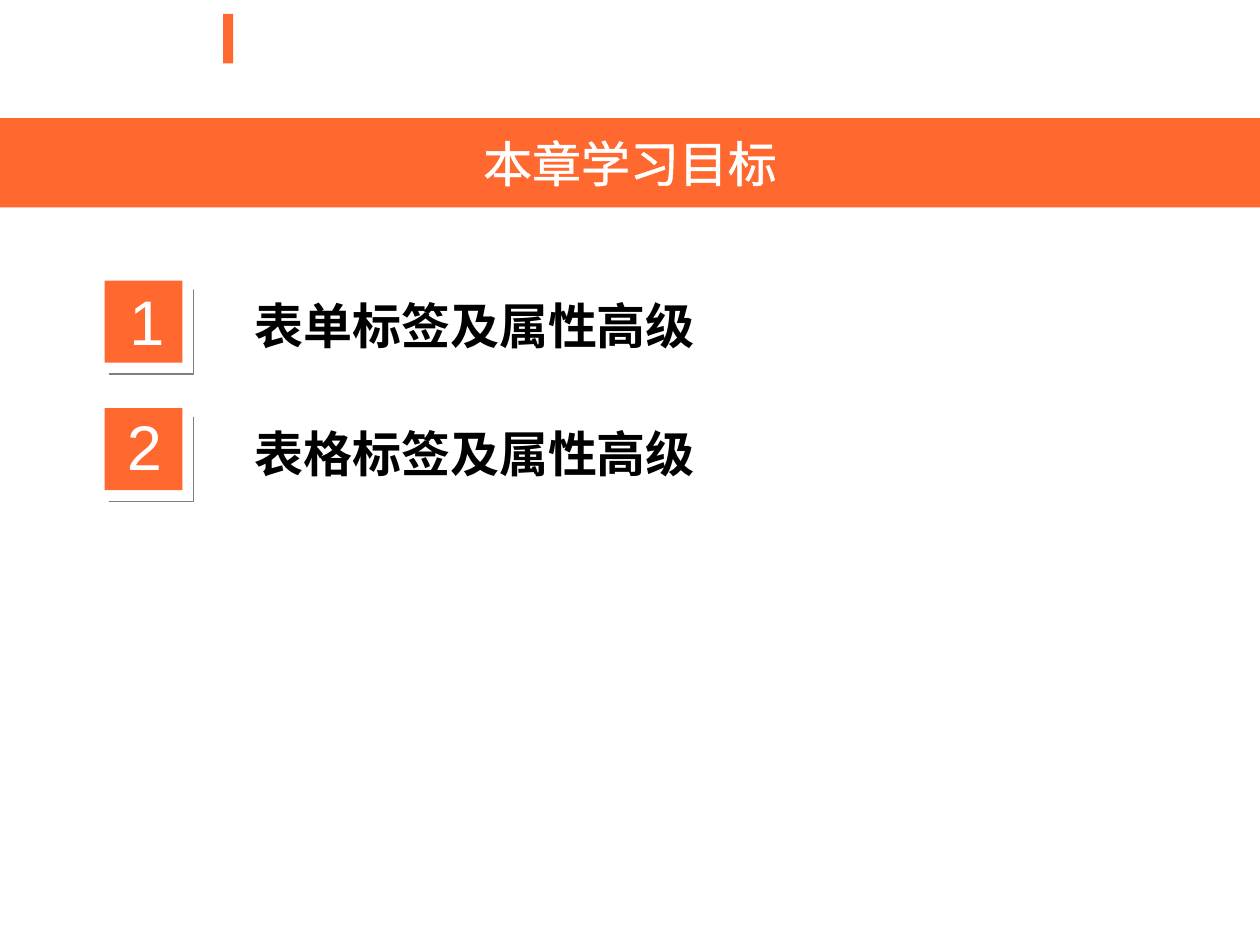
from dataclasses import dataclass

from lxml.etree import SubElement
from pptx import Presentation
from pptx.dml.color import RGBColor
from pptx.enum.shapes import MSO_SHAPE as Shape
from pptx.enum.text import MSO_ANCHOR as Anchor, MSO_AUTO_SIZE as AutoSize, PP_ALIGN as Align
from pptx.oxml.ns import qn
from pptx.util import Cm, Pt


@dataclass(frozen=True)
class Theme:
    accent: RGBColor = RGBColor(0xFF, 0x68, 0x2F)
    white: RGBColor = RGBColor(0xFF, 0xFF, 0xFF)
    ink: RGBColor = RGBColor(0, 0, 0)
    bracket_fill: RGBColor = RGBColor(0xAF, 0xAB, 0xAB)
    bracket_line: RGBColor = RGBColor(0x7F, 0x7F, 0x7F)
    latin: str = "Arial"
    chinese: str = "Noto Sans CJK SC"
    heading: int = 28
    number: int = 36


THEME = Theme()
GOALS = ["表单标签及属性高级", "表格标签及属性高级"]
NUMBER_OFFSETS = [(0.25, -0.08), (0.2, -0.13)]
ROW_LEFT, ROW_TOP, ROW_PITCH = 2.11, 5.66, 2.57


def add_block(page, left, top, width, height):
    block = page.shapes.add_shape(Shape.RECTANGLE, Cm(left), Cm(top), Cm(width), Cm(height))
    block.shadow.inherit = False
    block.fill.solid()
    block.fill.fore_color.rgb = THEME.accent
    block.line.fill.background()
    return block


def write(frame, text, size, color, font, bold=False):
    """Fill the frame with one formatted run and return it."""
    para = frame.paragraphs[0]
    para.text = text
    span = para.runs[0]
    span.font.size = Pt(size)
    span.font.color.rgb = color
    span.font.name = font
    span.font.bold = bold
    if font == THEME.chinese:
        SubElement(span.font._element, qn("a:ea"), typeface=font)
    return span


def add_label(page, left, top, width, height, *style):
    label = page.shapes.add_textbox(Cm(left), Cm(top), Cm(width), Cm(height))
    label.text_frame.word_wrap = True
    label.text_frame.auto_size = AutoSize.SHAPE_TO_FIT_TEXT
    write(label.text_frame, *style)


def add_bracket(page, left, top, width, height):
    """Draw the thin corner that runs below and right of a number tile."""
    right, bottom = Cm(left + width), Cm(top + height)
    outline = page.shapes.build_freeform(Cm(left), bottom)
    outline.add_line_segments([(right, bottom), (right, Cm(top)), (right, bottom)])
    bracket = outline.convert_to_shape()
    bracket.shadow.inherit = False
    bracket.fill.solid()
    bracket.fill.fore_color.rgb = THEME.bracket_fill
    bracket.line.color.rgb = THEME.bracket_line
    bracket.line.width = Pt(1)


def add_banner(page, left, top, width, height, title):
    frame = add_block(page, left, top, width, height).text_frame
    frame.vertical_anchor = Anchor.MIDDLE
    span = write(frame, title, THEME.heading, THEME.white, THEME.latin)
    frame.paragraphs[0].alignment = Align.CENTER
    font = span.font._element
    outline = SubElement(font, qn("a:ln"), w=str(Pt(1.45)))
    fill = SubElement(outline, qn("a:solidFill"))
    SubElement(fill, qn("a:srgbClr"), val=str(THEME.white))
    font.insert(0, outline)


def add_goal(page, left, top, number, goal, offset):
    add_block(page, left, top, 1.57, 1.65)
    shift_x, shift_y = offset
    add_label(page, left + shift_x, top + shift_y, 1.3, 1.8,
              str(number), THEME.number, THEME.white, THEME.latin)
    add_bracket(page, left + 0.1, top + 0.19, 1.69, 1.69)
    add_label(page, left + 2.77, top + 0.18, 19.53, 1.45,
              goal, THEME.heading, THEME.ink, THEME.chinese, True)


def main():
    deck = Presentation()
    deck.slide_width, deck.slide_height = Cm(25.4), Cm(19.05)
    page = deck.slides.add_slide(deck.slide_layouts[6])
    add_block(page, 4.5, 0.28, 0.2, 1)
    add_banner(page, 0, 2.38, 25.4, 1.8, "本章学习目标")
    for index, (goal, offset) in enumerate(zip(GOALS, NUMBER_OFFSETS)):
        add_goal(page, ROW_LEFT, ROW_TOP + index * ROW_PITCH, index + 1, goal, offset)
    deck.save("out.pptx")


if __name__ == "__main__":
    main()
